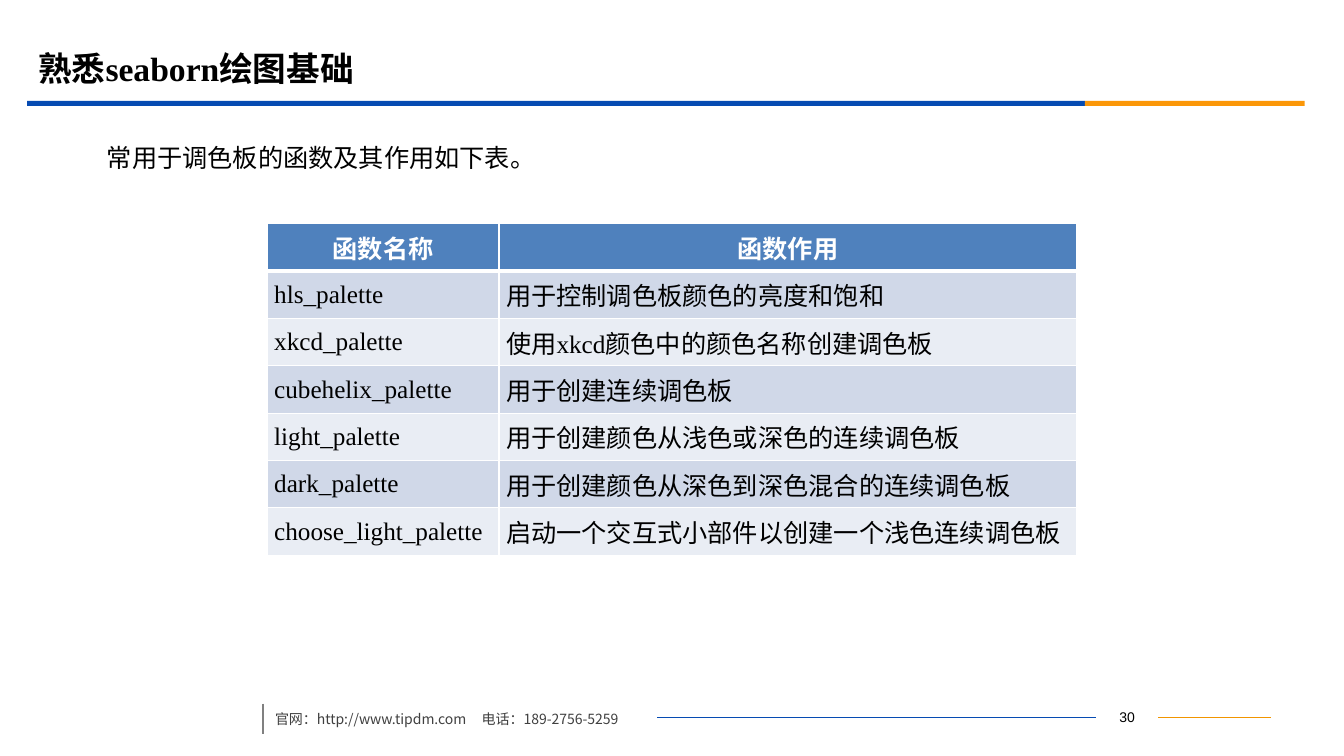
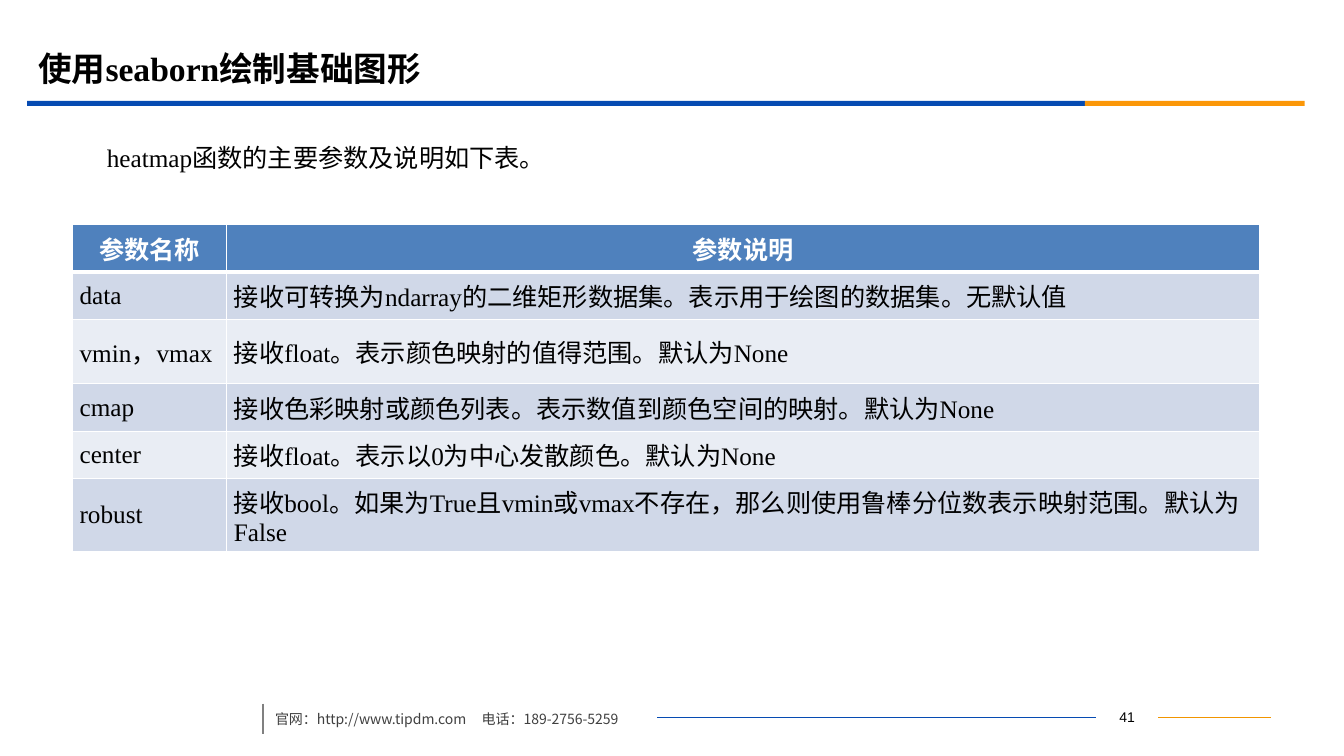
from lxml.etree import SubElement
from pptx import Presentation
from pptx.dml.color import RGBColor
from pptx.enum.shapes import MSO_CONNECTOR as Connector, MSO_SHAPE as Preset
from pptx.enum.text import MSO_ANCHOR as Anchor, MSO_AUTO_SIZE as AutoSize, PP_ALIGN as Align
from pptx.oxml.ns import qn
from pptx.util import Inches, Pt

BLACK = RGBColor(0x00, 0x00, 0x00)
WHITE = RGBColor(0xFF, 0xFF, 0xFF)
BLUE = RGBColor(0x06, 0x4B, 0xB2)
ORANGE = RGBColor(0xFB, 0x97, 0x08)
DEEP_ORANGE = RGBColor(0xF1, 0x95, 0x00)
GREY = RGBColor(0x80, 0x80, 0x80)
DARK_GREY = RGBColor(0x40, 0x40, 0x40)
HEADER_FILL = RGBColor(0x4F, 0x81, 0xBD)
ROW_FILLS = (RGBColor(0xE9, 0xED, 0xF4), RGBColor(0xD0, 0xD8, 0xE8))

SERIF = "Times New Roman"
SANS = "Noto Sans CJK SC"
NUMBER_FONT = "Arial"

PALETTE_ROWS = [
    ("函数名称", "函数作用"),
    ("hls_palette", "用于控制调色板颜色的亮度和饱和"),
    ("xkcd_palette", "使用xkcd颜色中的颜色名称创建调色板"),
    ("cubehelix_palette", "用于创建连续调色板"),
    ("light_palette", "用于创建颜色从浅色或深色的连续调色板"),
    ("dark_palette", "用于创建颜色从深色到深色混合的连续调色板"),
    ("choose_light_palette", "启动一个交互式小部件以创建一个浅色连续调色板"),
]
HEATMAP_ROWS = [
    ("参数名称", "参数说明"),
    ("data", "接收可转换为ndarray的二维矩形数据集。表示用于绘图的数据集。无默认值"),
    ("vmin，vmax", "接收float。表示颜色映射的值得范围。默认为None"),
    ("cmap", "接收色彩映射或颜色列表。表示数值到颜色空间的映射。默认为None"),
    ("center", "接收float。表示以0为中心发散颜色。默认为None"),
    ("robust", "接收bool。如果为True且vmin或vmax不存在，那么则使用鲁棒分位数表示映射范围。默认为False"),
]


class Deck:
    """Hold the shared style and the slide being built."""

    def __init__(self):
        self.presentation = Presentation()
        self.presentation.slide_width = Inches(13.33)
        self.presentation.slide_height = Inches(7.5)
        self.slide = None

    def add_slide(self, title, lead, number):
        layout = self.presentation.slide_layouts[1]
        self.slide = self.presentation.slides.add_slide(layout)
        self.title(title)
        self.lead(lead)
        self.band(0.27, 10.49, BLUE)
        self.band(10.76, 2.18, ORANGE)
        self.footer(number)

    def run(self, paragraph, text, size, color=BLACK, font=SERIF, bold=False):
        run = paragraph.add_run()
        run.text = text
        run.font.size = Pt(size)
        run.font.bold = bold
        run.font.color.rgb = color
        run.font.name = font
        SubElement(run.font._element, qn("a:ea"), typeface=SANS)

    def place(self, shape, left, top, width, height, anchor):
        shape.left, shape.top = Inches(left), Inches(top)
        shape.width, shape.height = Inches(width), Inches(height)
        frame = shape.text_frame
        frame.word_wrap = True
        frame.auto_size = AutoSize.NONE
        frame.vertical_anchor = anchor
        return frame.paragraphs[0]

    def title(self, text):
        paragraph = self.place(self.slide.shapes.title, 0.28, 0.39, 12, 0.58, Anchor.MIDDLE)
        paragraph.alignment = Align.LEFT
        self.run(paragraph, text, 24, bold=True)

    def lead(self, text):
        body = self.slide.placeholders[1]
        paragraph = self.place(body, 0.46, 1.21, 12.15, 5.53, Anchor.TOP)
        properties = paragraph._p.get_or_add_pPr()
        properties.set("marL", "0")
        properties.set("indent", str(Inches(0.5)))
        SubElement(properties, qn("a:buNone"))
        paragraph.line_spacing = 1.5
        paragraph.space_before = Pt(0)
        self.run(paragraph, text, 18)

    def band(self, left, width, color):
        shape = self.slide.shapes.add_shape(
            Preset.RECTANGLE, Inches(left), Inches(1), Inches(width), Inches(0.05))
        shape.shadow.inherit = False
        shape.fill.solid()
        shape.fill.fore_color.rgb = color
        shape.line.fill.background()

    def line(self, start, end, color, width):
        connector = self.slide.shapes.add_connector(
            Connector.STRAIGHT, *(Inches(value) for value in start + end))
        connector.line.color.rgb = color
        connector.line.width = Pt(width)
        SubElement(connector._element.spPr, qn("a:effectLst"))

    def text_box(self, left, top, width, height, anchor):
        box = self.slide.shapes.add_textbox(0, 0, 0, 0)
        return self.place(box, left, top, width, height, anchor)

    def footer(self, number):
        paragraph = self.text_box(10.87, 6.99, 0.62, 0.25, Anchor.MIDDLE)
        paragraph.alignment = Align.CENTER
        self.run(paragraph, number, 10, font=NUMBER_FONT)
        self.line((11.49, 7.12), (12.61, 7.12), DEEP_ORANGE, 0.75)
        self.line((6.52, 7.12), (10.87, 7.12), BLUE, 0.75)
        self.line((2.61, 6.98), (2.61, 7.28), GREY, 1.25)
        paragraph = self.text_box(2.63, 6.92, 5.36, 0.35, Anchor.TOP)
        tabs = SubElement(paragraph._p.get_or_add_pPr(), qn("a:tabLst"))
        SubElement(tabs, qn("a:tab"), pos=str(Inches(2.05)), algn="l")
        paragraph.line_spacing = 1.5
        for text in ("官网：http://www.tipdm.com", "\t电话：189-2756-5259"):
            self.run(paragraph, text, 10, DARK_GREY, SANS)

    def borders(self, cell, row):
        widths = {"L": 1, "R": 1, "T": 3 if row == 1 else 1, "B": 3 if row == 0 else 1}
        for side, width in widths.items():
            border = SubElement(
                cell._tc.get_or_add_tcPr(), qn(f"a:ln{side}"), w=str(Pt(width)))
            fill = SubElement(border, qn("a:solidFill"))
            SubElement(fill, qn("a:srgbClr"), val=str(WHITE))

    def cell(self, cell, text, row):
        header = row == 0
        cell.margin_left = cell.margin_right = Inches(0.07)
        cell.margin_top = cell.margin_bottom = 0
        cell.vertical_anchor = Anchor.MIDDLE
        self.borders(cell, row)
        cell.fill.solid()
        cell.fill.fore_color.rgb = HEADER_FILL if header else ROW_FILLS[row % 2]
        paragraph = cell.text_frame.paragraphs[0]
        paragraph.alignment = Align.CENTER if header else Align.LEFT
        self.run(paragraph, text, 18, WHITE if header else BLACK, bold=header)

    def table(self, left, top, widths, rows):
        row_height = Inches(0.47)
        table = self.slide.shapes.add_table(
            len(rows), len(widths), Inches(left), Inches(top),
            Inches(sum(widths)), row_height * len(rows)).table
        for column, width in zip(table.columns, widths):
            column.width = Inches(width)
        for row, texts in enumerate(rows):
            table.rows[row].height = row_height
            for column, text in enumerate(texts):
                self.cell(table.cell(row, column), text, row)


def main():
    deck = Deck()
    deck.add_slide("熟悉seaborn绘图基础", "常用于调色板的函数及其作用如下表。", "30")
    deck.table(2.65, 2.22, (2.3, 5.73), PALETTE_ROWS)
    deck.add_slide("使用seaborn绘制基础图形", "heatmap函数的主要参数及说明如下表。", "41")
    deck.table(0.72, 2.23, (1.53, 10.24), HEATMAP_ROWS)
    deck.presentation.save("out.pptx")


if __name__ == "__main__":
    main()
